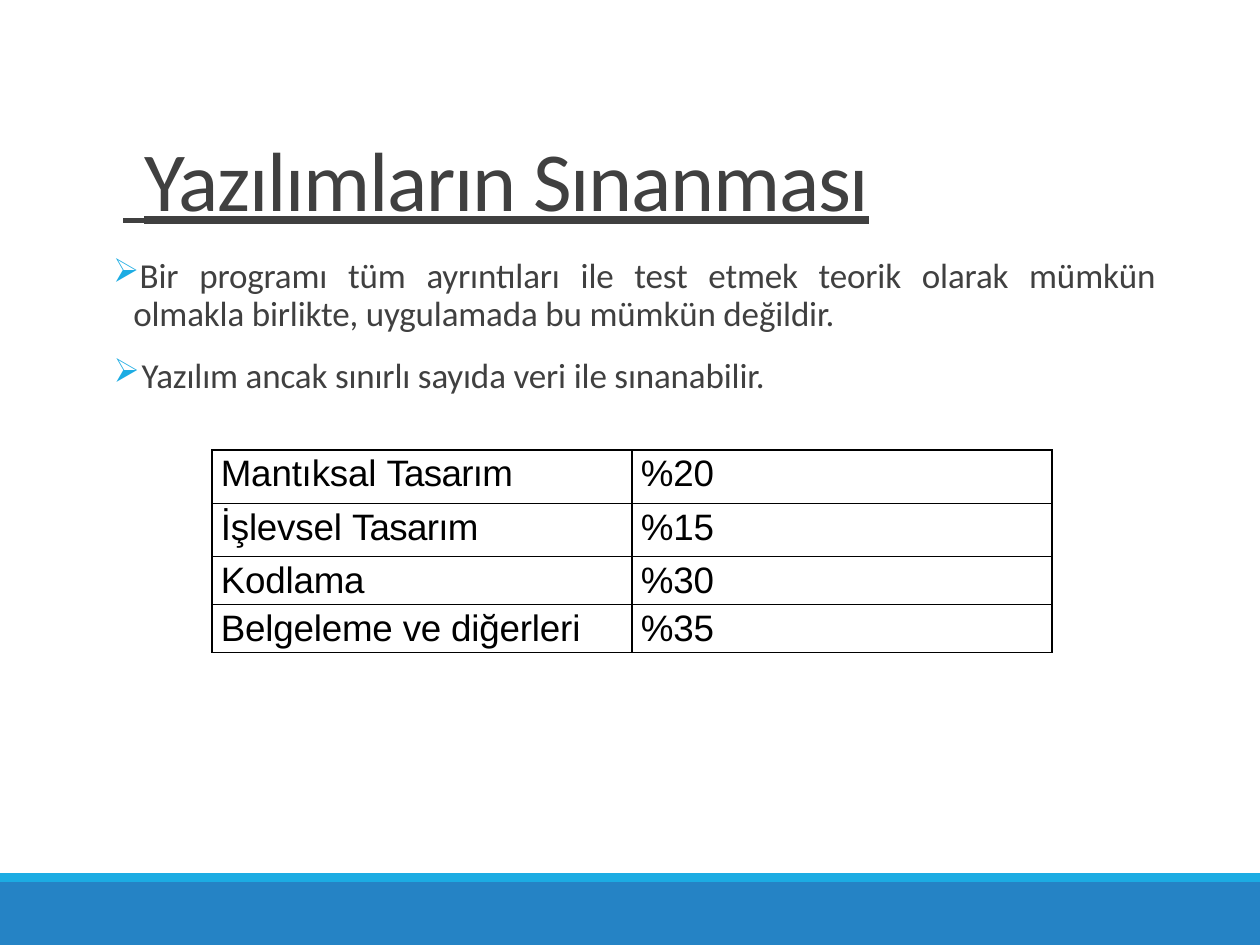
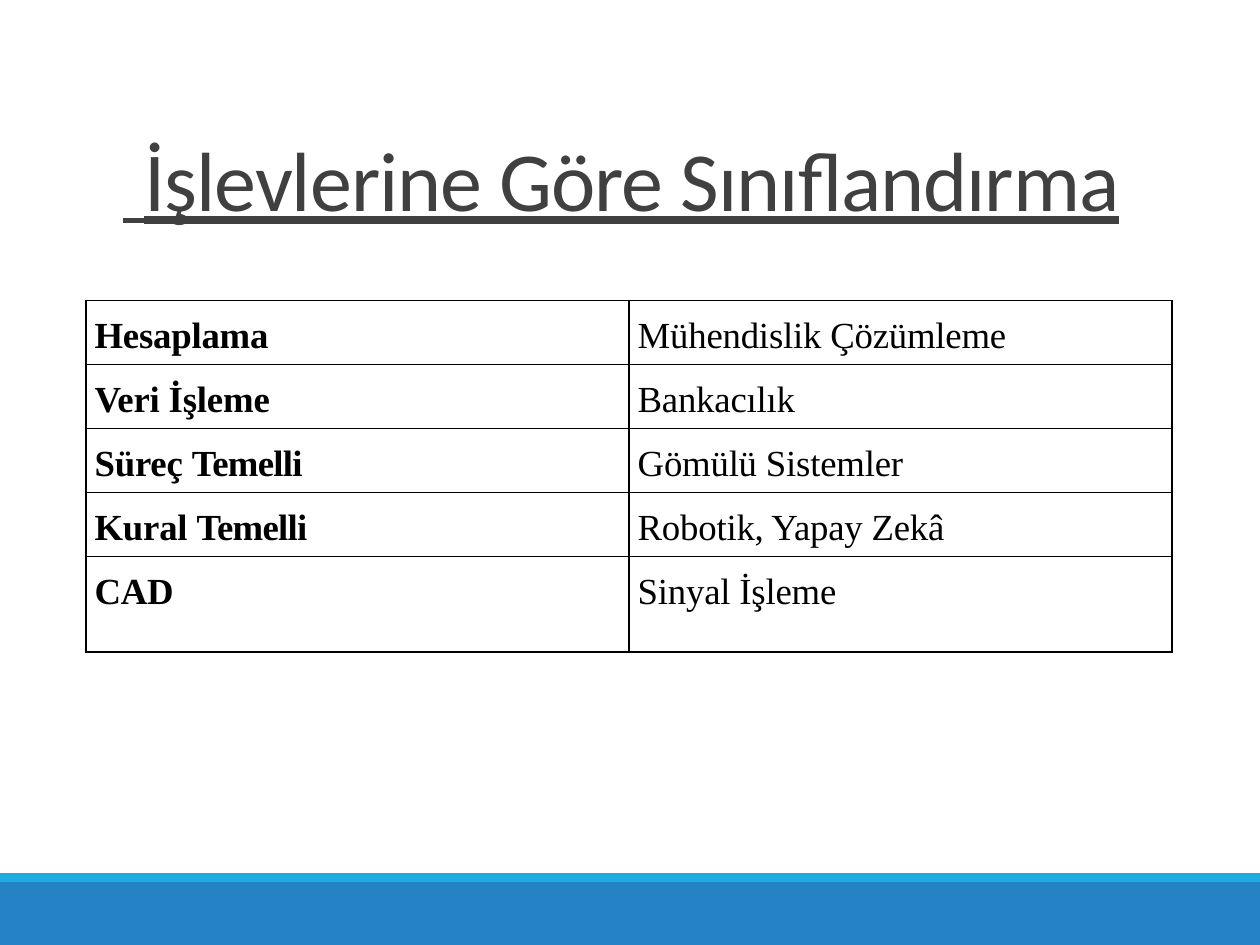
from pptx import Presentation
from pptx.dml.color import RGBColor
from pptx.enum.shapes import MSO_SHAPE
from pptx.enum.text import MSO_ANCHOR, PP_ALIGN
from pptx.oxml.ns import qn
from pptx.util import Pt
from lxml.etree import SubElement

BLUE, CYAN, GREY, BLACK = "2583C5", "1CACE3", "404040", "000000"
WIDE, HIGH = 720, 540


def paint(code):
    return RGBColor.from_string(code)


class Deck:
    def __init__(self):
        self.prs = Presentation()
        self.prs.slide_width, self.prs.slide_height = Pt(WIDE), Pt(HIGH)
        self.slide = None

    def page(self, title, space):
        """Start a slide with the bottom bands and the underlined title."""
        self.slide = self.prs.slides.add_slide(self.prs.slide_layouts[6])
        self.band(504, 36, BLUE)
        self.band(499, 5, CYAN)
        frame = self.box(60, 72, 600, 59.8, 0.7)
        frame.margin_left = Pt(10.5)
        para = frame.paragraphs[0]
        self.run(para, " ", -10.4).font.name = "Times New Roman"
        self.run(para, title, space).font.name = "Calibri"
        self.style(para, None, 48, GREY)
        para.font.underline = True

    def band(self, top, height, color):
        bar = self.slide.shapes.add_shape(
            MSO_SHAPE.RECTANGLE, 0, Pt(top), Pt(WIDE), Pt(height))
        bar.shadow.inherit = False
        bar.fill.solid()
        bar.fill.fore_color.rgb = paint(color)
        bar.line.fill.background()

    def box(self, left, top, width, height, inset):
        shape = self.slide.shapes.add_textbox(
            Pt(left), Pt(top), Pt(width), Pt(height))
        frame = shape.text_frame
        frame.word_wrap = True
        frame.margin_left = frame.margin_right = frame.margin_bottom = 0
        frame.margin_top = Pt(inset)
        return frame

    def run(self, para, text, space):
        run = para.add_run()
        run.text = text
        run.font._element.set("spc", str(round(space * 100)))
        return run

    def style(self, para, name, size, color, bold=None):
        font = para.font
        font.name, font.size, font.bold = name, Pt(size), bold
        font.color.rgb = paint(color)

    def bullet(self, para, text, left, hang):
        props = para._p.get_or_add_pPr()
        props.set("marL", str(Pt(left)))
        props.set("indent", str(-Pt(hang)))
        tint = SubElement(props, qn("a:buClr"))
        SubElement(tint, qn("a:srgbClr"), val=CYAN)
        SubElement(props, qn("a:buSzPct"), val="95000")
        SubElement(props, qn("a:buChar"), char="➢")
        self.run(para, text, -0.1)
        self.style(para, "Calibri", 20, GREY)

    def table(self, left, top, width, heights, rows, font, inset, bold=False):
        """Draw a ruled two-column table; text after "|" is set tighter."""
        grid = self.slide.shapes.add_table(
            len(rows), 2, Pt(left), Pt(top), Pt(2 * width),
            Pt(sum(heights))).table
        grid.first_row = grid.horz_banding = False
        for col in grid.columns:
            col.width = Pt(width)
        for row, height, texts in zip(grid.rows, heights, rows):
            row.height = Pt(height)
            for spot, text in enumerate(texts):
                cell = row.cells[spot]
                cell.margin_left, cell.margin_top = Pt(5), Pt(inset)
                cell.margin_right = cell.margin_bottom = 0
                para = cell.text_frame.paragraphs[0]
                for part, space in zip(text.split("|"), (-0.1, -0.4)):
                    self.run(para, part, space)
                self.style(para, font, 21, BLACK, bold and spot == 0)
                self.rule(cell)

    def rule(self, cell):
        props = cell._tc.get_or_add_tcPr()
        for side in ("lnL", "lnR", "lnT", "lnB"):
            line = SubElement(props, qn("a:" + side), w=str(Pt(1)))
            fill = SubElement(line, qn("a:solidFill"))
            SubElement(fill, qn("a:srgbClr"), val=BLACK)
        cell.fill.background()
        cell.vertical_anchor = MSO_ANCHOR.TOP


def main():
    deck = Deck()

    # Testing software
    deck.page("Yazılımların Sınanması", -0.7)
    frame = deck.box(64, 144, 596, 83.5, 3.6)
    first, second = frame.paragraphs[0], frame.add_paragraph()
    first.alignment = PP_ALIGN.JUSTIFY
    first.line_spacing = Pt(21.6)
    second.space_before = Pt(11.3)
    deck.bullet(first, "Bir programı tüm ayrıntıları ile test etmek teorik "
                "olarak mümkün olmakla birlikte, uygulamada bu mümkün "
                "değildir.", 12.2, 11.5)
    deck.bullet(second, "Yazılım ancak sınırlı sayıda veri ile sınanabilir.",
                17, 16)
    shares = [("Mantıksal |Tasarım", "%20"), ("İşlevsel |Tasarım", "%15"),
              ("Kodlama", "%30"), ("Belgeleme ve diğerleri", "%35")]
    deck.table(121.2, 257.2, 240, [30.5, 30.5, 27.4, 27.4], shares,
               "Arial", 2.1)

    # Classes by function
    deck.page("İşlevlerine Göre Sınıflandırma", -0.56)
    kinds = [("Hesaplama", "Mühendislik Çözümleme"),
             ("Veri İşleme", "Bankacılık"),
             ("Süreç |Temelli", "Gömülü Sistemler"),
             ("Kural |Temelli", "Robotik, Yapay Zekâ"),
             ("CAD", "Sinyal İşleme")]
    deck.table(49, 171.6, 310.4, [36.6] * 4 + [54.6], kinds,
               "Times New Roman", 8.9, bold=True)

    deck.prs.save("out.pptx")


if __name__ == "__main__":
    main()
